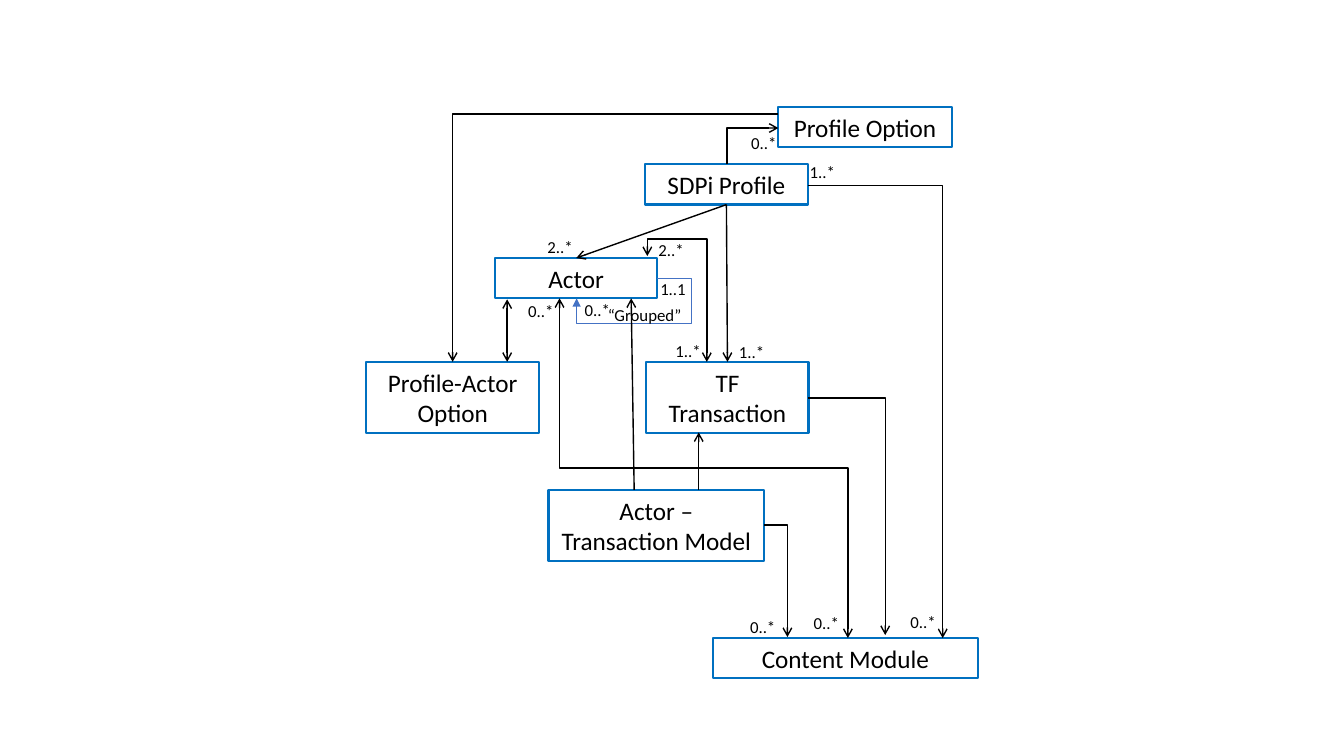
"""Draw the entity relationship diagram of an SDPi profile."""
from dataclasses import dataclass

from lxml.etree import SubElement
from pptx import Presentation
from pptx.dml.color import RGBColor
from pptx.enum.shapes import MSO_CONNECTOR as Connector
from pptx.enum.shapes import MSO_SHAPE as Shape
from pptx.enum.text import MSO_ANCHOR as Anchor
from pptx.enum.text import PP_ALIGN as Align
from pptx.oxml.ns import qn
from pptx.util import Inches, Pt

BLACK = RGBColor(0x00, 0x00, 0x00)
BOX_BLUE = RGBColor(0x00, 0x70, 0xC0)
LOOP_BLUE = RGBColor(0x44, 0x72, 0xC4)
FONT = "Calibri"
QUARTER_TURN_BACK = "16200000"

Point = tuple[float, float]


@dataclass(frozen=True)
class Entity:
    text: str
    left: float
    top: float
    width: float
    height: float = 0.4


@dataclass(frozen=True)
class Label:
    text: str
    left: float
    top: float
    width: float = 0.51
    align: Align = Align.CENTER


@dataclass(frozen=True)
class Route:
    points: tuple[Point, ...]
    both_ends: bool = False
    arrow: str = "arrow"
    color: RGBColor = BLACK
    weight: float = 1


@dataclass(frozen=True)
class Link:
    source: str
    target: str


ENTITIES = (
    Entity("SDPi Profile", 6.4, 1.63, 1.61),
    Entity("Actor", 4.91, 2.56, 1.61),
    Entity("Actor – Transaction Model", 5.44, 4.86, 2.14, 0.71),
    Entity("Content Module", 7.07, 6.33, 2.63),
    Entity("Profile-Actor Option", 3.63, 3.59, 1.72, 0.71),
    Entity("TF Transaction", 6.41, 3.59, 1.61, 0.71),
    Entity("Profile Option", 7.72, 1.06, 1.72),
)

LINKS = (Link("SDPi Profile", "Actor"), Link("SDPi Profile", "TF Transaction"))

ROUTES = (
    Route(((6.42, 2.54), (6.42, 2.37), (7.01, 2.37), (7.01, 3.59)), both_ends=True),
    Route(((8.01, 1.84), (9.35, 1.84), (9.35, 6.33))),
    Route(((6.52, 2.76), (6.86, 2.76), (6.86, 3.21), (5.72, 3.21), (5.72, 2.96)),
          arrow="triangle", color=LOOP_BLUE, weight=0.5),
    Route(((7.21, 1.63), (7.21, 1.27), (7.72, 1.27))),
    Route(((5.55, 2.96), (5.55, 4.64), (8.41, 4.64), (8.41, 6.33)), both_ends=True),
    Route(((7.72, 1.13), (4.49, 1.13), (4.49, 3.59))),
    Route(((5.03, 3.59), (5.03, 2.97)), both_ends=True),
    Route(((6.93, 4.86), (6.93, 4.29))),
    Route(((6.29, 4.86), (6.26, 2.96))),
    Route(((8.01, 3.95), (8.78, 3.95), (8.78, 6.3))),
    Route(((7.58, 5.21), (7.81, 5.21), (7.81, 6.32))),
)

LABELS = (
    Label("2..*", 5.3, 2.3),
    Label("0..*", 8.9, 6.02),
    Label("0..*", 5.67, 2.92),
    Label("1..1", 6.42, 2.72),
    Label("0..*", 7.32, 1.27),
    Label("2..*", 6.4, 2.33),
    Label("1..*", 6.57, 3.33),
    Label("1..*", 7.2, 3.34),
    Label("1..*", 7.9, 1.55),
    Label("0..*", 5.11, 2.93),
    Label("0..*", 7.94, 6.03),
    Label("0..*", 7.31, 6.07),
    Label("“Grouped”", 5.93, 2.97, 1.13, Align.LEFT),
)


def write(shape, text: str, size: float, align: Align) -> None:
    frame = shape.text_frame
    frame.word_wrap = True
    frame.vertical_anchor = Anchor.MIDDLE
    paragraph = frame.paragraphs[0]
    paragraph.alignment = align
    run = paragraph.add_run()
    run.text = text
    run.font.name = FONT
    run.font.size = Pt(size)
    run.font.color.rgb = BLACK


def draw_entity(slide, entity: Entity):
    shape = slide.shapes.add_shape(
        Shape.RECTANGLE, Inches(entity.left), Inches(entity.top),
        Inches(entity.width), Inches(entity.height))
    shape.shadow.inherit = False
    shape.fill.background()
    shape.line.color.rgb = BOX_BLUE
    shape.line.width = Pt(1.5)
    write(shape, entity.text, 18, Align.CENTER)
    return shape


def draw_label(slide, label: Label) -> None:
    box = slide.shapes.add_textbox(
        Inches(label.left), Inches(label.top), Inches(label.width), Inches(0.3))
    write(box, label.text, 12, label.align)


def add_line(slide, kind: Connector, start: Point, end: Point):
    return slide.shapes.add_connector(kind, *(Inches(value) for value in (*start, *end)))


def style_line(connector, route: Route) -> None:
    connector.line.color.rgb = route.color
    connector.line.width = Pt(route.weight)
    properties = connector._element.spPr
    outline = properties.find(qn("a:ln"))
    for tag in ("a:headEnd", "a:tailEnd") if route.both_ends else ("a:tailEnd",):
        SubElement(outline, qn(tag), type=route.arrow)
    SubElement(properties, qn("a:effectLst"))


def bend(connector, points: tuple[Point, ...], vertical: bool) -> None:
    """Set the preset, its bend positions and the turn from the corner points."""
    start, end = points[0], points[-1]
    properties = connector._element.spPr
    geometry = properties.find(qn("a:prstGeom"))
    geometry.set("prst", f"bentConnector{len(points) - 1}")
    guides = geometry.find(qn("a:avLst"))
    for number, corner in enumerate(points[1:-2], 1):
        axis = (number - 1 + vertical) % 2
        share = (corner[axis] - start[axis]) / (end[axis] - start[axis])
        SubElement(guides, qn("a:gd"), name=f"adj{number}", fmla=f"val {round(share * 100000)}")
    if vertical:
        properties.find(qn("a:xfrm")).set("rot", QUARTER_TURN_BACK)


def draw_route(slide, route: Route) -> None:
    """Draw a line; one that leaves vertically is laid out flat, then turned."""
    start, end = route.points[0], route.points[-1]
    if len(route.points) == 2:
        connector = add_line(slide, Connector.STRAIGHT, start, end)
    else:
        vertical = start[0] == route.points[1][0]
        if vertical:
            middle_x, middle_y = (start[0] + end[0]) / 2, (start[1] + end[1]) / 2
            half_x, half_y = (start[1] - end[1]) / 2, (end[0] - start[0]) / 2
            start = (middle_x - half_x, middle_y - half_y)
            end = (middle_x + half_x, middle_y + half_y)
        connector = add_line(slide, Connector.ELBOW, start, end)
        bend(connector, route.points, vertical)
    style_line(connector, route)


def draw_link(slide, source, target) -> None:
    connector = add_line(slide, Connector.STRAIGHT, (0, 0), (1, 1))
    connector.begin_connect(source, 2)
    connector.end_connect(target, 0)
    style_line(connector, Route(()))


def main() -> None:
    presentation = Presentation()
    presentation.slide_width = Inches(13.33)
    presentation.slide_height = Inches(7.5)
    slide = presentation.slides.add_slide(presentation.slide_layouts[6])
    boxes = {entity.text: draw_entity(slide, entity) for entity in ENTITIES}
    for link in LINKS:
        draw_link(slide, boxes[link.source], boxes[link.target])
    for route in ROUTES:
        draw_route(slide, route)
    for label in LABELS:
        draw_label(slide, label)
    presentation.save("out.pptx")


if __name__ == "__main__":
    main()
